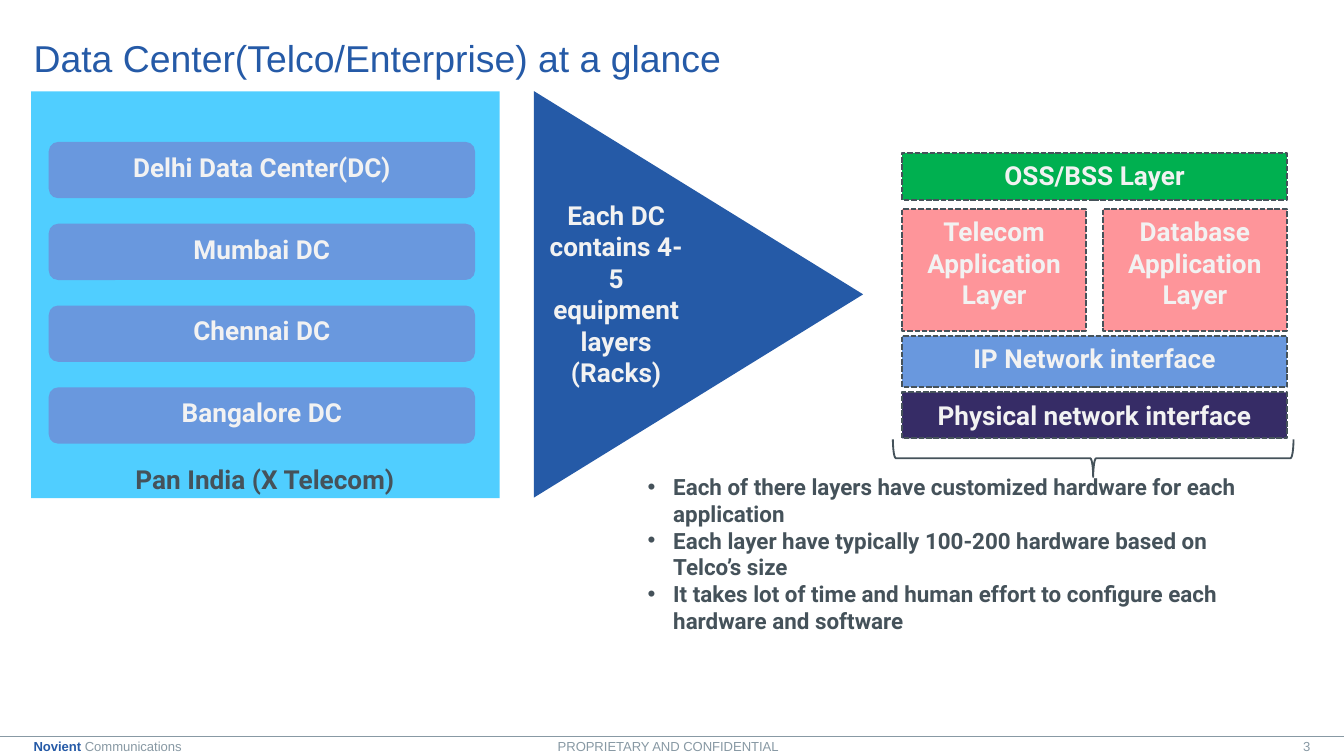
import pptx
import pptx.util
import pptx.dml.color
import pptx.enum.dml
import pptx.enum.shapes
import pptx.enum.text
import pptx.oxml
import pptx.oxml.ns

COLS, ROWS = 160, 90  # square cells on a 16:9 slide
WIDTH = pptx.util.Inches(10)
HEIGHT = WIDTH * ROWS // COLS
CELL = WIDTH // COLS
BLUE, SLATE, GREY, PALE = "255AA7", "45525A", "8899A4", "F2F2F2"
PERIWINKLE, PINK = "6998DE", "FE959A"
SHAPE = pptx.enum.shapes.MSO_SHAPE
ALIGN = pptx.enum.text.PP_ALIGN
ANCHOR = pptx.enum.text.MSO_ANCHOR


def rgb(value):
    return pptx.dml.color.RGBColor.from_string(value)


class Deck:
    def __init__(self):
        self.prs = pptx.Presentation()
        self.prs.slide_width, self.prs.slide_height = WIDTH, HEIGHT
        self.s = self.prs.slides.add_slide(self.prs.slide_layouts[1])

    def box(self, *cells):
        """Turn columns and rows into slide lengths."""
        return [int(CELL * n) for n in cells]

    def place(self, sp, *cells):
        sp.left, sp.top, sp.width, sp.height = self.box(*cells)

    def frame(self, sp, anchor=ANCHOR.TOP, insets=(0.1, 0.05, 0.1, 0.05), wrap=True):
        tf = sp.text_frame
        tf.auto_size = pptx.enum.text.MSO_AUTO_SIZE.NONE
        tf.word_wrap, tf.vertical_anchor = wrap, anchor
        (tf.margin_left, tf.margin_top,
         tf.margin_right, tf.margin_bottom) = map(pptx.util.Inches, insets)
        return tf

    def run(self, p, text, size=14, color=PALE, bold=True, font="Roboto"):
        r = p.add_run()
        r.text = text
        r.font.size, r.font.name, r.font.bold = pptx.util.Pt(size), font, bold
        r.font.color.rgb = rgb(color)

    def title(self, text, *cells):
        sp = self.s.shapes.title
        self.place(sp, *cells)
        p = self.frame(sp, ANCHOR.MIDDLE, (0.25, 0, 0.5, 0)).paragraphs[0]
        p.alignment, p.space_before = ALIGN.LEFT, pptx.util.Pt(6)
        self.run(p, text, 20, BLUE, False, "Arial")

    def bullets(self, items, *cells):
        sp = self.s.placeholders[1]
        self.place(sp, *cells)
        tf = self.frame(sp)
        indent = pptx.util.Inches(0.19)
        for i, item in enumerate(items):
            p = tf.add_paragraph() if i else tf.paragraphs[0]
            p.alignment, p.space_before = ALIGN.LEFT, pptx.util.Pt(0)
            pPr = p._p.get_or_add_pPr()
            pPr.set("marL", str(indent))
            pPr.set("indent", str(-indent))
            pPr.append(pptx.oxml.parse_xml(
                f'<a:buChar {pptx.oxml.ns.nsdecls("a")} char="•"/>'))
            self.run(p, item, 12, SLATE)

    def shape(self, kind, cells, fill, text="", outline=None, dashed=False, **frame):
        sp = self.s.shapes.add_shape(kind, *self.box(*cells))
        sp.shadow.inherit = False
        sp.fill.solid()
        sp.fill.fore_color.rgb = rgb(fill)
        if outline:
            sp.line.color.rgb = rgb(outline)
            sp.line.width = pptx.util.Pt(1)
            if dashed:
                sp.line.dash_style = pptx.enum.dml.MSO_LINE.SQUARE_DOT
        else:
            sp.line.fill.background()
        if text:
            p = self.frame(sp, **frame).paragraphs[0]
            p.alignment = ALIGN.CENTER
            self.run(p, text)
        return sp

    def layer(self, text, fill, *cells):
        self.shape(SHAPE.RECTANGLE, cells, fill, text, SLATE, True)

    def text(self, cells, runs, align=ALIGN.LEFT, **frame):
        """Write a text box; each run is (text, size, color, bold, font)."""
        sp = self.s.shapes.add_textbox(*self.box(*cells))
        p = self.frame(sp, **frame).paragraphs[0]
        p.alignment = align
        for r in runs:
            self.run(p, *r)

    def rule(self, row):
        line = self.s.shapes.add_connector(
            pptx.enum.shapes.MSO_CONNECTOR.STRAIGHT, *self.box(0, row, COLS, row))
        line.line.color.rgb, line.line.width = rgb(GREY), pptx.util.Pt(0.5)
        line._element.spPr.append(pptx.oxml.parse_xml(
            f'<a:effectLst {pptx.oxml.ns.nsdecls("a")}/>'))

    def footer(self):
        middle = {"anchor": ANCHOR.MIDDLE}
        small = (7, GREY, False, "Arial")
        self.text((0, 87.7, COLS, 2.3), [("3", *small)], ALIGN.RIGHT,
                  insets=(0.1, 0.05, 0.25, 0.05), **middle)
        self.rule(87.7)
        self.text((0, 87.9, 21.6, 1.9),
                  [("Novient ", 7, BLUE, True, "Arial"), ("Communications", *small)],
                  insets=(0.25, 0, 0, 0), wrap=False, **middle)
        self.text((66.4, 87.9, 26.9, 1.9), [("PROPRIETARY AND CONFIDENTIAL", *small)],
                  insets=(0, 0, 0, 0), wrap=False, **middle)


def main():
    deck = Deck()
    deck.footer()
    deck.title("Data Center(Telco/Enterprise) at a glance", 0, 4.1, 141.6, 5.4)

    deck.shape(SHAPE.RECTANGLE, (3.7, 10.9, 55.8, 48.4), "50CEFF")
    centers = ["Delhi Data Center(DC)", "Mumbai DC", "Chennai DC", "Bangalore DC"]
    for i, name in enumerate(centers):
        deck.shape(SHAPE.ROUNDED_RECTANGLE, (5.8, 16.9 + 9.74 * i, 50.75, 6.7),
                   PERIWINKLE, name)
    deck.text((12.5, 54.4, 38.1, 5.4), [("Pan India (X Telecom)", 14, SLATE)],
              ALIGN.CENTER)

    arrow = deck.shape(SHAPE.ISOSCELES_TRIANGLE, (58.95, 15.45, 48.4, 39.2), BLUE,
                       "Each DC contains 4-5 equipment layers (Racks)",
                       insets=(0.05, 0.1, 0.05, 0.1))
    arrow.rotation = 90
    arrow.text_frame._txBody.bodyPr.set("vert", "vert270")

    left, full, half = 107.4, 45.8, 21.9
    deck.layer("Physical network interface", "362C66", left, 46.7, full, 5.5)
    deck.layer("IP Network interface", PERIWINKLE, left, 40, full, 6.1)
    deck.layer("OSS/BSS Layer", "00B050", left, 18.2, full, 5.6)
    for i, name in enumerate(["Telecom", "Database"]):
        deck.layer(f"{name} Application Layer", PINK,
                   left + i * (full - half), 24.9, half, 14.5)

    brace = deck.shape(SHAPE.LEFT_BRACE, (127.9, 30.7, 4.5, 47.7), "FFFFFF",
                       outline=SLATE)
    brace.rotation = 270
    brace.adjustments[0] = 0.08
    deck.bullets([
        "Each of there layers have customized hardware for each application",
        "Each layer have typically 100-200 hardware based on Telco’s size",
        "It takes lot of time and human effort to configure each hardware and software",
    ], 75.5, 55.5, 77.6, 21)

    deck.prs.save("out.pptx")


if __name__ == "__main__":
    main()
